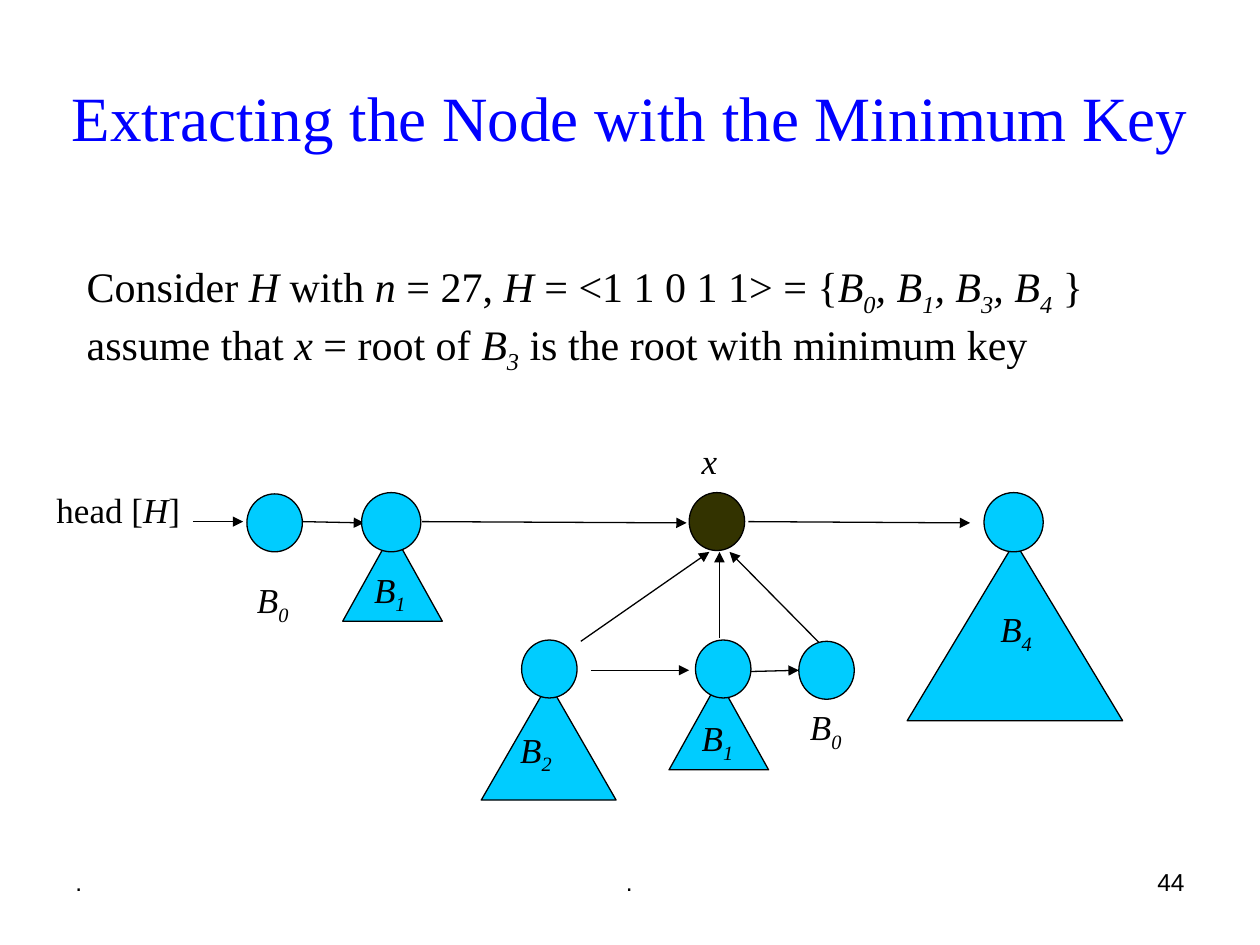
from lxml.etree import SubElement
from pptx import Presentation
from pptx.dml.color import RGBColor
from pptx.enum.shapes import MSO_CONNECTOR, MSO_SHAPE
from pptx.enum.text import MSO_ANCHOR, PP_ALIGN
from pptx.oxml.ns import qn
from pptx.util import Pt

SCALE = 9144
SERIF = "Times New Roman"
BLACK, BLUE, CYAN, OLIVE = "000000", "0000FF", "00CCFF", "333300"


def px(*sizes):
    return [size * SCALE for size in sizes]


def color(code):
    return RGBColor.from_string(code)


def write(slide, box, parts, size=20, font=SERIF, tint=BLACK,
          align=PP_ALIGN.LEFT, anchor=MSO_ANCHOR.TOP):
    frame = slide.shapes.add_textbox(*px(*box)).text_frame
    frame.word_wrap = True
    frame.vertical_anchor = anchor
    para = frame.paragraphs[0]
    para.alignment = align
    for text, style in parts:
        run = para.add_run()
        run.text = text
        run.font.name = font
        run.font.size = Pt(size)
        run.font.color.rgb = color(tint)
        run.font.italic = style != "plain"
        if style == "sub":
            run.font._element.set("baseline", "-25000")


def name(slide, x, y, rank):
    write(slide, (x, y, 71, 48), [("B", "italic"), (rank, "sub")])


def shape(slide, kind, box, tint):
    form = slide.shapes.add_shape(kind, *px(*box))
    form.shadow.inherit = False
    form.fill.solid()
    form.fill.fore_color.rgb = color(tint)
    form.line.color.rgb = color(BLACK)
    form.line.width = Pt(0.75)


def node(slide, x, y, wide=44, tint=CYAN):
    high = 46 if wide == 44 else wide
    shape(slide, MSO_SHAPE.OVAL, (x, y, wide, high), tint)


def arrow(slide, left, top, ends):
    x1, y1, x2, y2 = ends
    line = slide.shapes.add_connector(
        MSO_CONNECTOR.STRAIGHT, *px(left + x1, top + y1, left + x2, top + y2))
    line.line.color.rgb = color(BLACK)
    line.line.width = Pt(0.75)
    SubElement(line.line._get_or_add_ln(), qn("a:tailEnd"), type="triangle")
    SubElement(line._element.spPr, qn("a:effectLst"))


def tree(slide, box, root, rank, label):
    left, top = box[:2]
    shape(slide, MSO_SHAPE.ISOSCELES_TRIANGLE, box, CYAN)
    dx, dy, wide = root
    node(slide, left + dx, top + dy, wide)
    name(slide, left + label[0], top + label[1], rank)


def title(slide, box):
    text = "Extracting the Node with the Minimum Key"
    write(slide, box, [(text, "plain")], 36, tint=BLUE,
          align=PP_ALIGN.CENTER, anchor=MSO_ANCHOR.MIDDLE)


def prose(slide, box):
    parts = [("Consider ", "plain"), ("H", "italic"), (" with ", "plain"),
             ("n ", "italic"), ("= 27, ", "plain"), ("H ", "italic"),
             ("= <1 1 0 1 1> = {", "plain")]
    for text, rank in (("B", "0"), (", B", "1"), (", B", "3"), (", B", "4")):
        parts += [(text, "italic"), (rank, "sub")]
    parts += [(" } assume that ", "plain"), ("x ", "italic"),
              ("= root of ", "plain"), ("B", "italic"), ("3", "sub"),
              (" is the root with minimum key", "plain")]
    write(slide, box, parts, 24)


def roots(slide, left, top):
    for ends in ((118, 70, 158, 70), (205, 70, 254, 71),
                 (300, 70, 510, 71), (559, 70, 735, 71)):
        arrow(slide, left, top, ends)
    write(slide, (left, top + 39, 130, 44),
          [("head [", "plain"), ("H", "italic"), ("]", "plain")])
    node(slide, left + 161, top + 48)
    name(slide, left + 159, top + 110, "0")
    tree(slide, (left + 237, top + 78, 79, 71), (15, -31, 47), "1", (15, 24))
    node(slide, left + 512, top + 47, tint=OLIVE)
    write(slide, (left + 512, top, 39, 44), [("x", "italic")])
    tree(slide, (left + 685, top + 86, 171, 142), (61, -39, 47), "4", (64, 47))


def kids(slide, left, top):
    for ends in ((87, 94, 165, 94), (212, 95, 252, 94), (79, 71, 181, 0),
                 (189, 68, 189, 0), (273, 77, 197, 0)):
        arrow(slide, left, top, ends)
    tree(slide, (left, top + 104, 107, 93), (32, -34, 44), "2", (21, 31))
    tree(slide, (left + 149, top + 102, 79, 71), (21, -32, 44), "1", (16, 24))
    node(slide, left + 252, top + 71)
    name(slide, left + 251, top + 117, "0")


def footer(slide, left, top, wide, high):
    side, mid = 233, 317
    for text, x, span, align in (
            (".", left, side, PP_ALIGN.LEFT),
            (".", left + (wide - mid) // 2, mid, PP_ALIGN.CENTER),
            ("44", left + wide - side, side, PP_ALIGN.RIGHT)):
        write(slide, (x, top, span, high), [(text, "plain")], 14, "Arial",
              align=align)


def main():
    deck = Presentation()
    deck.slide_width, deck.slide_height = px(1000, 750)
    slide = deck.slides.add_slide(deck.slide_layouts[6])
    footer(slide, 50, 683, 900, 52)
    title(slide, (0, 30, 1000, 125))
    prose(slide, (59, 202, 906, 101))
    roots(slide, 35, 344)
    kids(slide, 382, 438)
    deck.save("out.pptx")


if __name__ == "__main__":
    main()
